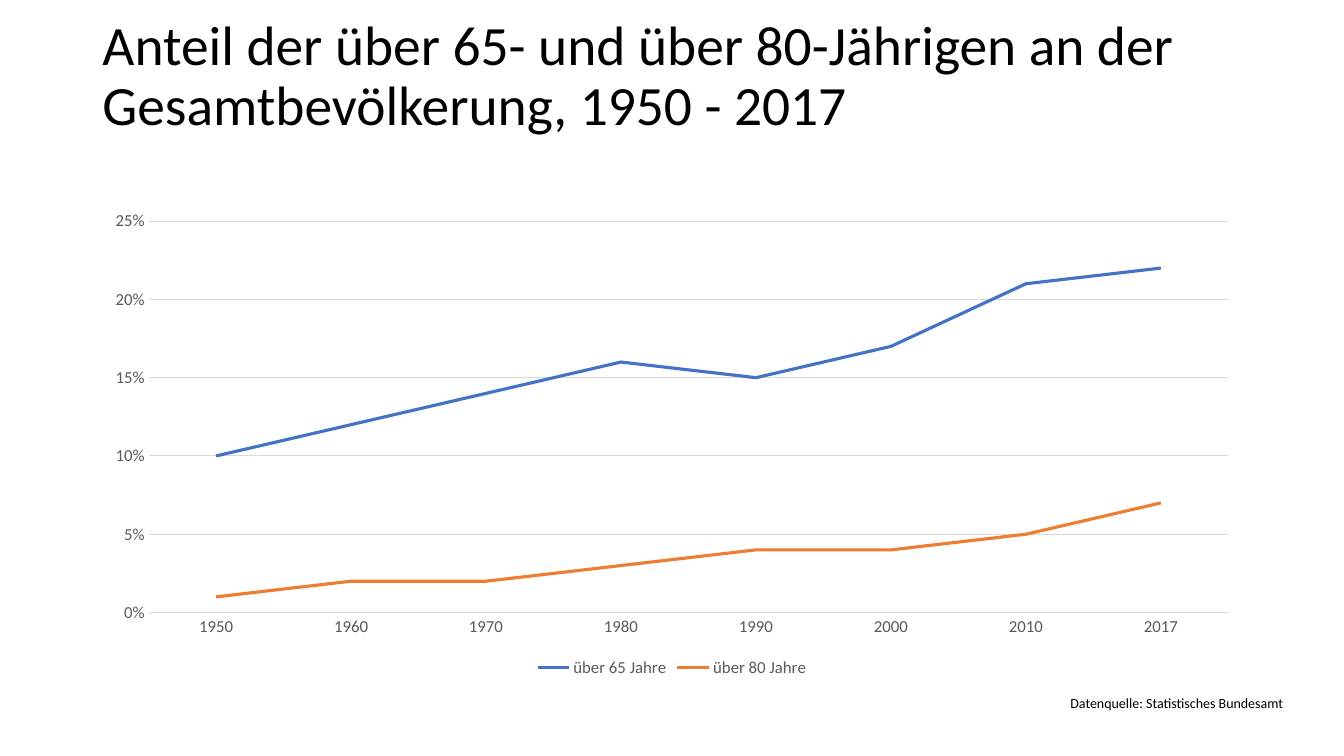
import pptx
import pptx.chart.data
import pptx.dml.color
import pptx.enum.chart
import pptx.enum.text
import pptx.util

Pt = pptx.util.Pt
RGBColor = pptx.dml.color.RGBColor

BLACK = RGBColor(0x00, 0x00, 0x00)
GRAY = RGBColor(0x59, 0x59, 0x59)
LIGHT_GRAY = RGBColor(0xD9, 0xD9, 0xD9)
BLUE = RGBColor(0x44, 0x72, 0xC4)
ORANGE = RGBColor(0xED, 0x7D, 0x31)

YEARS = ["1950", "1960", "1970", "1980", "1990", "2000", "2010", "2017"]
AGE_GROUPS = [
    ("über 65 Jahre", [0.10, 0.12, 0.14, 0.16, 0.15, 0.17, 0.21, 0.22], BLUE),
    ("über 80 Jahre", [0.01, 0.02, 0.02, 0.03, 0.04, 0.04, 0.05, 0.07], ORANGE),
]


def format_font(font, size, color):
    for name, value in {"name": "Calibri", "size": Pt(size)}.items():
        setattr(font, name, value)
    font.color.rgb = color


def format_line(line, color, width):
    line.color.rgb = color
    line.width = Pt(width)


presentation = pptx.Presentation()
presentation.slide_width = Pt(960)
presentation.slide_height = Pt(540)
slide = presentation.slides.add_slide(presentation.slide_layouts[5])

# Title
title = slide.shapes.title
title_place = {"left": 66, "top": 3.5, "width": 828, "height": 104.4}
for name, value in title_place.items():
    setattr(title, name, Pt(value))
title.text_frame.text = (
    "Anteil der über 65- und über 80-Jährigen an der "
    "Gesamtbevölkerung, 1950 - 2017"
)
title_frame_format = {
    "word_wrap": True,
    "auto_size": pptx.enum.text.MSO_AUTO_SIZE.NONE,
    "vertical_anchor": pptx.enum.text.MSO_ANCHOR.MIDDLE,
}
for name, value in title_frame_format.items():
    setattr(title.text_frame, name, value)
paragraph = title.text_frame.paragraphs[0]
paragraph.alignment = pptx.enum.text.PP_ALIGN.LEFT
paragraph.line_spacing = 0.9
format_font(paragraph.font, 39.6, BLACK)

# Line chart
chart_data = pptx.chart.data.CategoryChartData(number_format="0%")
chart_data.categories = YEARS
for group, shares, color in AGE_GROUPS:
    chart_data.add_series(group, shares)
chart = slide.shapes.add_chart(
    pptx.enum.chart.XL_CHART_TYPE.LINE,
    Pt(66), Pt(144), Pt(828), Pt(342.7), chart_data,
).chart
chart.has_title = False
format_font(chart.font, 10, BLACK)
chart.plots[0].vary_by_categories = False
for series, (group, shares, color) in zip(chart.plots[0].series, AGE_GROUPS):
    series.smooth = False
    series.marker.style = pptx.enum.chart.XL_MARKER_STYLE.NONE
    format_line(series.format.line, color, 2.25)

# Axes
for axis in (chart.category_axis, chart.value_axis):
    axis.major_tick_mark = pptx.enum.chart.XL_TICK_MARK.NONE
    axis.minor_tick_mark = pptx.enum.chart.XL_TICK_MARK.NONE
    format_font(axis.tick_labels.font, 12, GRAY)
format_line(chart.category_axis.format.line, LIGHT_GRAY, 0.75)
value_axis = chart.value_axis
scale = {"minimum_scale": 0, "maximum_scale": 0.25, "major_unit": 0.05}
for name, value in scale.items():
    setattr(value_axis, name, value)
value_axis.tick_labels.number_format = "0%"
value_axis.tick_labels.number_format_is_linked = False
value_axis.format.line.fill.background()
format_line(value_axis.major_gridlines.format.line, LIGHT_GRAY, 0.75)

# Legend
chart.has_legend = True
chart.legend.position = pptx.enum.chart.XL_LEGEND_POSITION.BOTTOM
chart.legend.include_in_layout = False
format_font(chart.legend.font, 12, GRAY)

# Data source
source = slide.shapes.add_textbox(Pt(757.5), Pt(492.5), Pt(169.2), Pt(19.4))
source.text_frame.word_wrap = True
source.text_frame.auto_size = pptx.enum.text.MSO_AUTO_SIZE.SHAPE_TO_FIT_TEXT
source.text_frame.text = "Datenquelle: Statistisches Bundesamt"
format_font(source.text_frame.paragraphs[0].font, 10, BLACK)

presentation.save("out.pptx")
